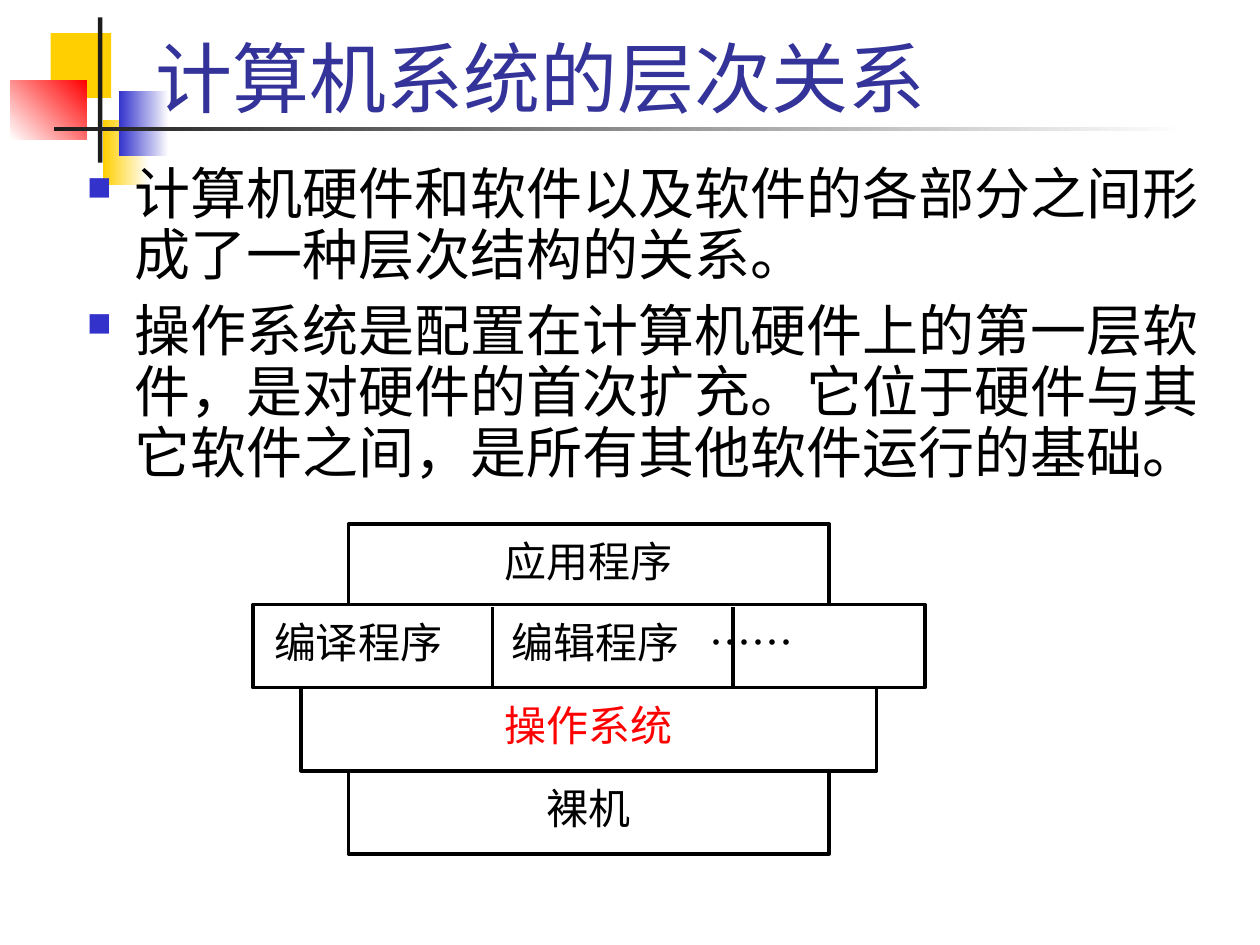
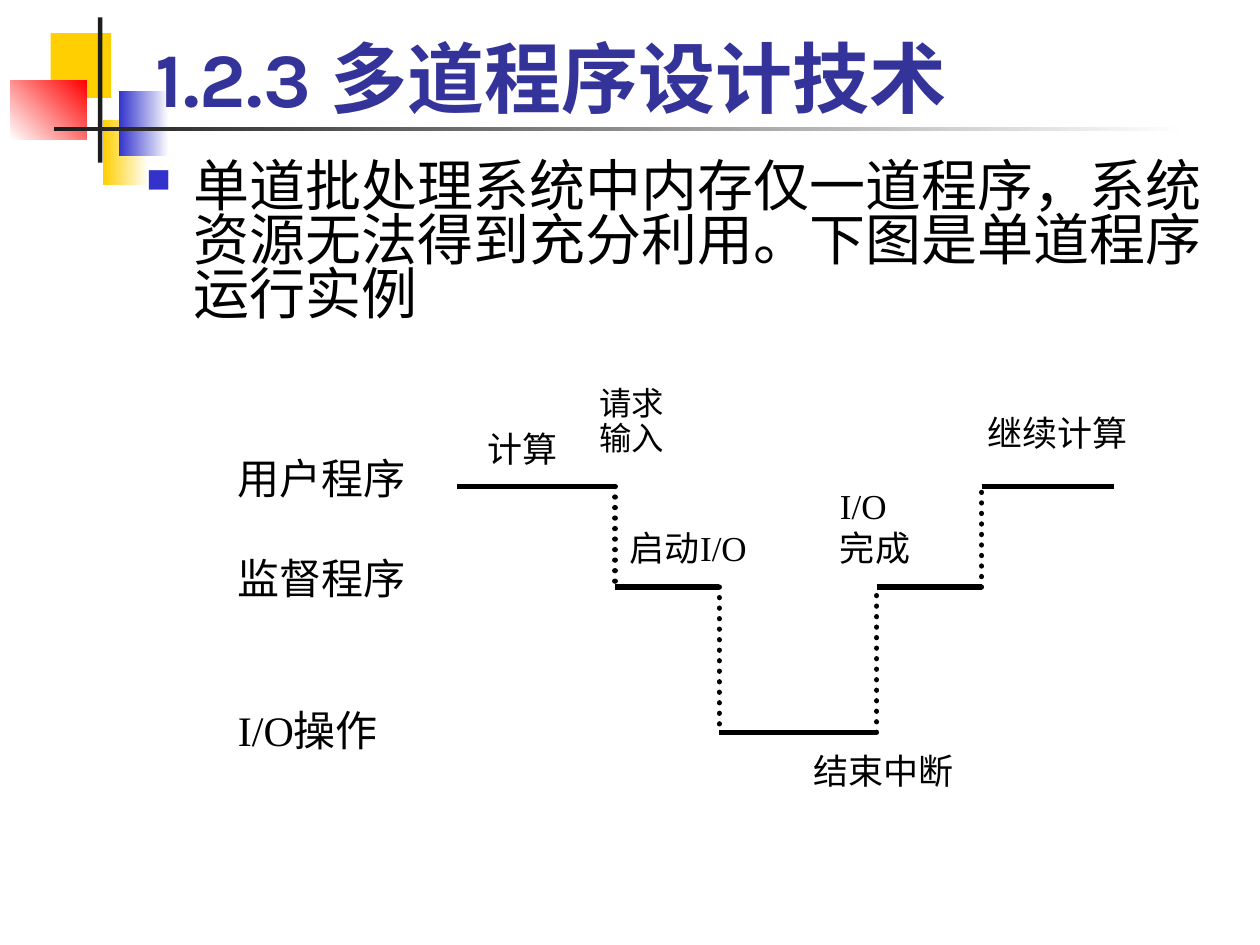
from dataclasses import dataclass

from lxml import etree
from pptx import Presentation
from pptx.dml.color import RGBColor
from pptx.enum import dml, shapes, text
from pptx.oxml.ns import qn
from pptx.util import Pt


@dataclass(frozen=True)
class Theme:
    black: str = "000000"
    white: str = "FFFFFF"
    red: str = "FF0000"
    gold: str = "FFCF01"
    blue: str = "3333CC"
    charcoal: str = "1C1C1C"
    title_colour: str = "333399"
    serif: str = "Times New Roman"
    sans: str = "Karla"
    chinese: str = "Noto Sans CJK SC"
    title_size: float = 44
    body_size: float = 32
    layer_size: float = 24
    label_size: float = 20
    small_size: float = 18.5
    label_leading: float = 1.2


class Deck:
    """Holds the theme and the slide being drawn; lengths are in points."""

    def __init__(self, theme):
        self.theme = theme
        self.presentation = Presentation()
        self.presentation.slide_width = Pt(720)
        self.presentation.slide_height = Pt(540)
        self.slide = None

    def new_slide(self, title, font, bold=False):
        blank = self.presentation.slide_layouts[6]
        self.slide = self.presentation.slides.add_slide(blank)
        self.ornament()
        t = self.theme
        frame = self.text_frame(82, 18, 618.5, 56, (7.2, 3.6))
        frame.vertical_anchor = text.MSO_ANCHOR.BOTTOM
        frame.text = title
        self.style(frame.paragraphs[0], font, t.title_size, t.title_colour, bold)

    def ornament(self):
        """Coloured squares and crossing rules behind every title."""
        t = self.theme
        self.block(29, 19, 34.5, 37, t.gold)
        self.block(59, 68.5, 26, 37, t.gold, t.white)
        self.block(68, 52, 28.5, 37, t.blue, t.white)
        self.block(5.75, 46, 44, 33.5, t.white, t.red, angle=45)
        self.block(56, 10, 2.5, 83, t.charcoal)
        self.block(31, 72.5, 648, 2.5, t.charcoal, t.white)

    def block(self, left, top, width, height, colour, fade_to=None, angle=0):
        block = self.slide.shapes.add_shape(
            shapes.MSO_SHAPE.RECTANGLE, Pt(left), Pt(top), Pt(width), Pt(height))
        block.shadow.inherit = False
        block.line.fill.background()
        if fade_to:
            block.fill.gradient()
            block.fill.gradient_angle = angle
            for stop, shade in zip(block.fill.gradient_stops, (colour, fade_to)):
                stop.color.rgb = RGBColor.from_string(shade)
        else:
            block.fill.solid()
            block.fill.fore_color.rgb = RGBColor.from_string(colour)
        return block

    def style(self, paragraph, font, size, colour, bold=False):
        paragraph.font.name = font
        paragraph.font.size = Pt(size)
        paragraph.font.bold = bold
        paragraph.font.color.rgb = RGBColor.from_string(colour)
        defaults = paragraph._p.pPr.find(qn("a:defRPr"))
        etree.SubElement(defaults, qn("a:ea"), typeface=self.theme.chinese)

    def text_frame(self, left, top, width, height, margins=(0, 0)):
        box = self.slide.shapes.add_textbox(Pt(left), Pt(top), Pt(width), Pt(height))
        frame = box.text_frame
        frame.word_wrap = True
        frame.margin_left = frame.margin_right = Pt(margins[0])
        frame.margin_top = frame.margin_bottom = Pt(margins[1])
        return frame

    def bullets(self, left, width, height, leading, points):
        """Body text from (wording, font) pairs."""
        t = self.theme
        frame = self.text_frame(left, 90.5, width, height, (7.2, 3.6))
        for i, (wording, font) in enumerate(points):
            paragraph = frame.add_paragraph() if i else frame.paragraphs[0]
            paragraph.text = wording
            paragraph.line_spacing = Pt(leading)
            paragraph.space_before = Pt(8 if i else 0)
            props = paragraph._p.get_or_add_pPr()
            props.set("marL", str(Pt(27)))
            props.set("indent", str(-Pt(27)))
            colour = etree.SubElement(props, qn("a:buClr"))
            etree.SubElement(colour, qn("a:srgbClr"), val=t.blue)
            etree.SubElement(props, qn("a:buSzPct"), val="60000")
            etree.SubElement(props, qn("a:buChar"), char="■")
            self.style(paragraph, font, t.body_size, t.black)

    def layer(self, centre, top, width, wording, colour, tabs=()):
        """Outlined layer; with tabs, its parts start at those stops."""
        t = self.theme
        box = self.block(centre - width / 2, top, width, 47.5, t.white)
        box.line.color.rgb = RGBColor.from_string(t.black)
        box.line.width = Pt(2)
        frame = box.text_frame
        frame.vertical_anchor = text.MSO_ANCHOR.TOP
        frame.text = wording
        paragraph = frame.paragraphs[0]
        paragraph.alignment = text.PP_ALIGN.LEFT if tabs else text.PP_ALIGN.CENTER
        paragraph.line_spacing = Pt(32)
        if tabs:
            props = paragraph._p.pPr
            props.set("marL", str(Pt(5)))
            stops = etree.SubElement(props, qn("a:tabLst"))
            for stop in tabs:
                etree.SubElement(stops, qn("a:tab"), pos=str(Pt(stop)), algn="l")
        self.style(paragraph, t.chinese, t.layer_size, colour)

    def label(self, left, top, width, *lines, size=None, leading=None, font=None):
        t = self.theme
        size = size or t.label_size
        leading = leading or size * t.label_leading
        frame = self.text_frame(left, top, width, leading * len(lines))
        frame.text = "\n".join(lines)
        for paragraph in frame.paragraphs:
            paragraph.line_spacing = Pt(leading)
            self.style(paragraph, font or t.serif, size, t.black)

    def line(self, start, end, width, dotted=False):
        line = self.slide.shapes.add_connector(
            shapes.MSO_CONNECTOR.STRAIGHT, *map(Pt, start + end))
        line.line.color.rgb = RGBColor.from_string(self.theme.black)
        line.line.width = Pt(width)
        props = line._element.spPr
        if dotted:
            line.line.dash_style = dml.MSO_LINE.ROUND_DOT
            props.find(qn("a:ln")).set("cap", "rnd")
        etree.SubElement(props, qn("a:effectLst"))


def system_layers(deck):
    t = deck.theme
    deck.new_slide("计算机系统的层次关系", t.serif)
    deck.bullets(42.5, 666.5, 201.5, 35, [
        ("计算机硬件和软件以及软件的各部分之间形成了一种层次结构的关系。", t.serif),
        ("操作系统是配置在计算机硬件上的第一层软件，是对硬件的首次扩充。"
         "它位于硬件与其它软件之间，是所有其他软件运行的基础。", t.sans),
    ])
    centre, utilities_top, os_top = 336.5, 345.5, 393
    deck.layer(centre, 299.5, 274.5, "应用程序", t.black)
    deck.layer(centre, utilities_top, 384, "编译程序\t编辑程序\t……", t.black,
               tabs=(135.5, 249))
    deck.layer(centre, os_top, 329, "操作系统", t.red)
    deck.layer(centre, 440.5, 274.5, "裸机", t.black)
    for divider in (281.5, 419):
        deck.line((divider, utilities_top + 1.5), (divider, os_top), 2)


def single_program_run(deck):
    t = deck.theme
    deck.new_slide("1.2.3 多道程序设计技术", t.sans, bold=True)
    deck.bullets(76.5, 618, 110, 30.6, [
        ("单道批处理系统中内存仅一道程序，系统资源无法得到充分利用。"
         "下图是单道程序运行实例", t.sans),
    ])

    for top, level in ((258.5, "用户程序"), (316, "监督程序"), (402.5, "I/O操作")):
        deck.label(136, top, 102, level, size=t.layer_size)

    user, supervisor, io_level = 278, 335.5, 418.5
    levels = (user, supervisor, io_level, supervisor, user)
    moments = (261, 351.5, 411, 501, 561, 636.5)
    for i, level in enumerate(levels):
        deck.line((moments[i], level), (moments[i + 1], level), 3)
    for moment, before, after in zip(moments[1:], levels, levels[1:]):
        deck.line((moment, before), (moment, after), 3, dotted=True)

    deck.label(278.5, 244, 49, "计算")
    deck.label(342.5, 221, 52, "请求", "输入", size=t.small_size, leading=20)
    deck.label(360, 301, 75, "启动I/O")
    deck.label(480, 277, 48, "I/O", "完成")
    deck.label(465, 428, 99, "结束中断")
    deck.label(564.5, 235, 101.5, "继续计算", font=t.chinese)


def main():
    deck = Deck(Theme())
    system_layers(deck)
    single_program_run(deck)
    deck.presentation.save("out.pptx")


if __name__ == "__main__":
    main()
